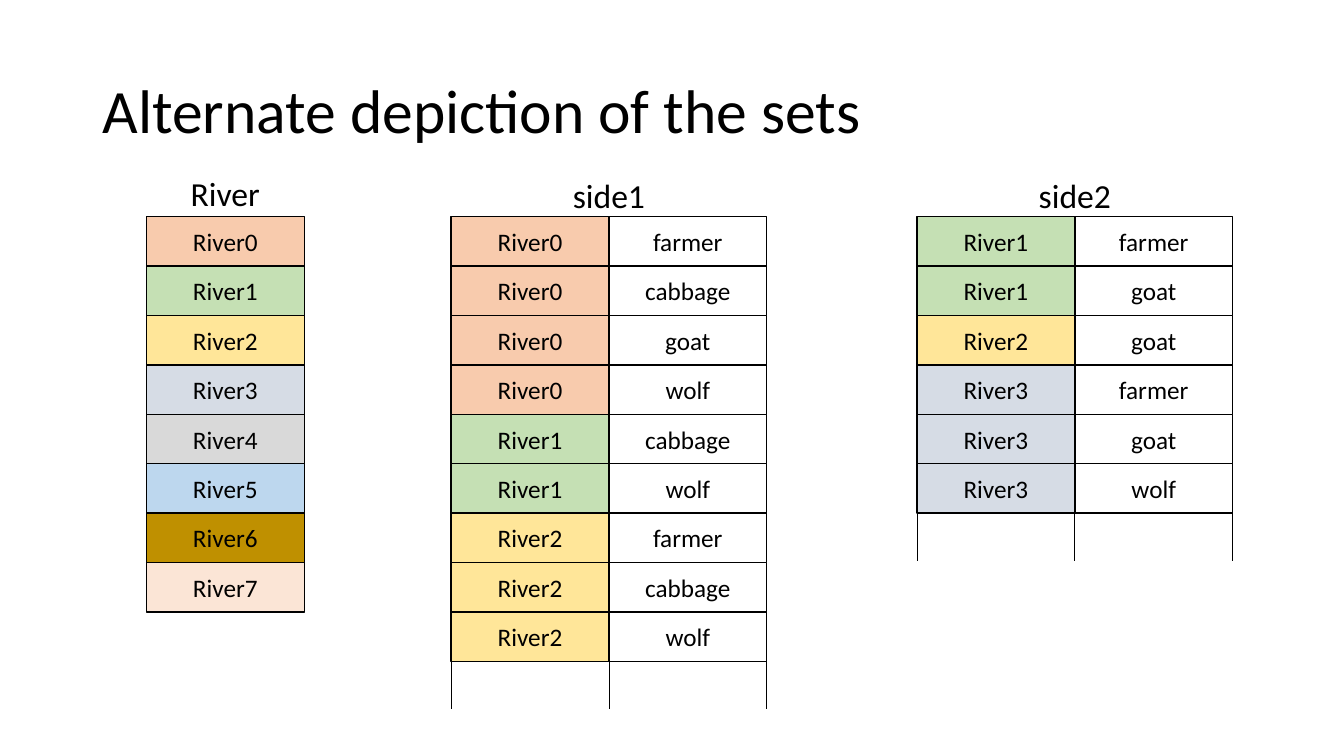
from dataclasses import dataclass, field

from pptx import Presentation
from pptx.dml.color import RGBColor
from pptx.enum.shapes import MSO_CONNECTOR, MSO_SHAPE
from pptx.enum.text import MSO_ANCHOR, MSO_AUTO_SIZE, PP_ALIGN
from pptx.oxml.ns import qn
from pptx.util import Pt

LEFT, CENTER = PP_ALIGN.LEFT, PP_ALIGN.CENTER
TOP, MIDDLE = MSO_ANCHOR.TOP, MSO_ANCHOR.MIDDLE
NO_AUTOFIT = MSO_AUTO_SIZE.NONE
RECTANGLE = MSO_SHAPE.RECTANGLE
STRAIGHT = MSO_CONNECTOR.STRAIGHT
TITLE_ONLY = 5


@dataclass(frozen=True)
class Theme:
    font: str = "Calibri"
    ink: str = "000000"
    paper: str = "FFFFFF"
    title_size: float = 44
    label_size: float = 24
    cell_size: float = 18
    border: float = 1
    tail_line: float = 0.5
    rivers: dict = field(default_factory=lambda: {
        "River0": "F8CBAD",
        "River1": "C5E0B4",
        "River2": "FFE699",
        "River3": "D6DCE5",
        "River4": "D9D9D9",
        "River5": "BDD7EE",
        "River6": "BF9000",
        "River7": "FBE5D6",
    })


THEME = Theme()
CELL_WIDTH, CELL_HEIGHT = 112.75, 35.28
GRID_TOP = 154.8
LABEL_WIDTH, LABEL_HEIGHT = 68, 36
TAIL_LENGTH = 34.2

SIDE1 = [
    ("River0", "farmer"),
    ("River0", "cabbage"),
    ("River0", "goat"),
    ("River0", "wolf"),
    ("River1", "cabbage"),
    ("River1", "wolf"),
    ("River2", "farmer"),
    ("River2", "cabbage"),
    ("River2", "wolf"),
]
SIDE2 = [
    ("River1", "farmer"),
    ("River1", "goat"),
    ("River2", "goat"),
    ("River3", "farmer"),
    ("River3", "goat"),
    ("River3", "wolf"),
]


def color(value):
    return RGBColor.from_string(value)


def write_text(shape, text, size, align=CENTER, anchor=MIDDLE, wrap=True, spacing=None):
    frame = shape.text_frame
    frame.auto_size = NO_AUTOFIT
    frame.word_wrap = wrap
    frame.vertical_anchor = anchor
    para = frame.paragraphs[0]
    para.alignment = align
    para.line_spacing = spacing
    span = para.add_run()
    span.text = text
    span.font.name = THEME.font
    span.font.size = Pt(size)
    span.font.color.rgb = color(THEME.ink)


def add_title(page, text):
    title = page.shapes.title
    title.left, title.top, title.width, title.height = Pt(66), Pt(28.8), Pt(828), Pt(104.4)
    write_text(title, text, THEME.title_size, align=LEFT, spacing=0.9)


def add_label(page, text, middle, top):
    box = page.shapes.add_textbox(
        Pt(middle - LABEL_WIDTH / 2), Pt(top), Pt(LABEL_WIDTH), Pt(LABEL_HEIGHT))
    write_text(box, text, THEME.label_size, anchor=TOP, wrap=False)


def add_cell(page, text, left, top):
    cell = page.shapes.add_shape(RECTANGLE, Pt(left), Pt(top), Pt(CELL_WIDTH), Pt(CELL_HEIGHT))
    cell.shadow.inherit = False
    cell.fill.solid()
    cell.fill.fore_color.rgb = color(THEME.rivers.get(text, THEME.paper))
    cell.line.color.rgb = color(THEME.ink)
    cell.line.width = Pt(THEME.border)
    write_text(cell, text, THEME.cell_size)


def add_tail(page, x, top):
    tail = page.shapes.add_connector(STRAIGHT, Pt(x), Pt(top), Pt(x), Pt(top + TAIL_LENGTH))
    tail.line.color.rgb = color(THEME.ink)
    tail.line.width = Pt(THEME.tail_line)
    properties = tail.element.find(qn("p:spPr"))
    properties.append(properties.makeelement(qn("a:effectLst"), {}))


def add_set(page, label, rows, left, label_top, continues=False):
    columns = len(rows[0])
    add_label(page, label, left + columns * CELL_WIDTH / 2, label_top)
    for row, names in enumerate(rows):
        for column, name in enumerate(names):
            add_cell(page, name, left + column * CELL_WIDTH, GRID_TOP + row * CELL_HEIGHT)
    if continues:
        for edge in range(columns + 1):
            add_tail(page, left + edge * CELL_WIDTH, GRID_TOP + len(rows) * CELL_HEIGHT)


def main():
    deck = Presentation()
    deck.slide_width, deck.slide_height = Pt(960), Pt(540)
    page = deck.slides.add_slide(deck.slide_layouts[TITLE_ONLY])
    add_title(page, "Alternate depiction of the sets")
    add_set(page, "River", [(name,) for name in THEME.rivers], 104.6, 120.2)
    add_set(page, "side1", SIDE1, 322.2, 121.7, continues=True)
    add_set(page, "side2", SIDE2, 655, 121.7, continues=True)
    deck.save("out.pptx")


if __name__ == "__main__":
    main()
